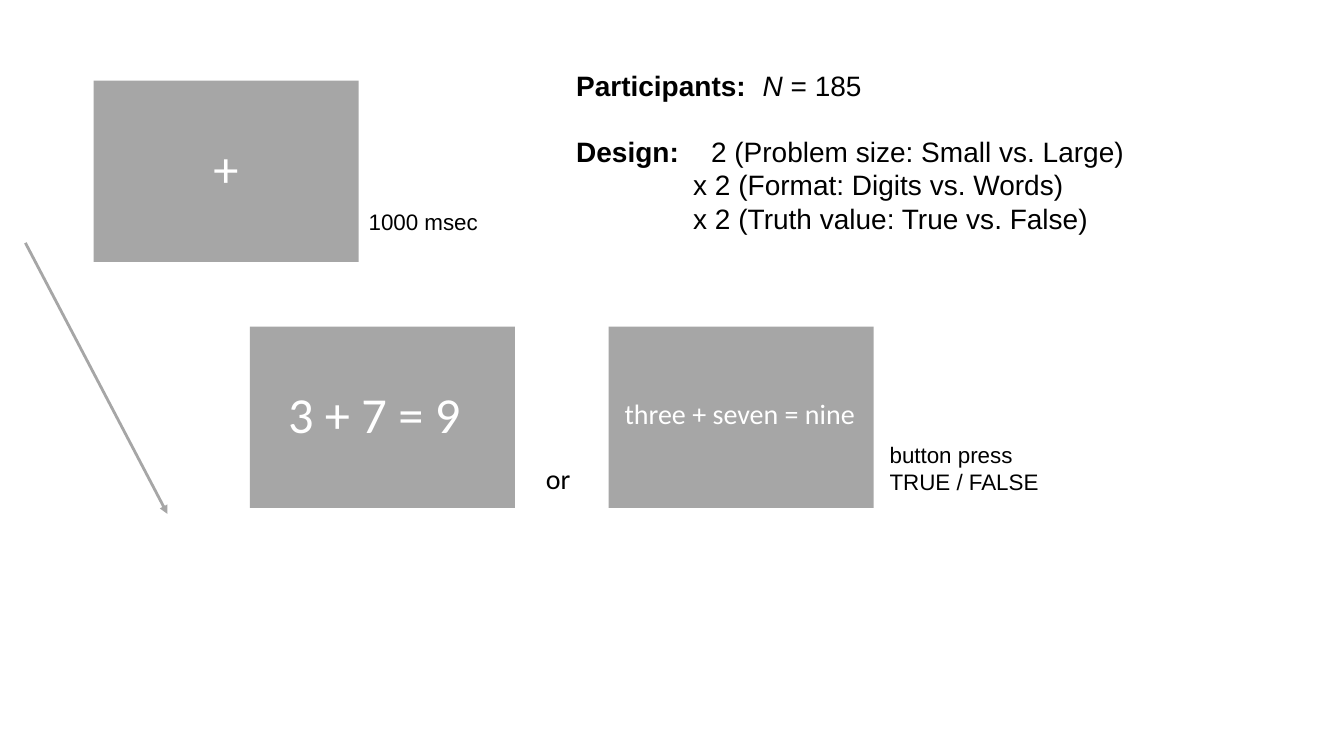
from lxml import etree
from pptx import Presentation
from pptx import util as u
from pptx.dml.color import RGBColor
from pptx.enum import shapes, text
from pptx.oxml import ns

COLORS = {"screen": "A6A6A6", "stimulus": "FFFFFF", "label": "000000"}


def write(paragraph, wording, size=20, font="Arial", color="label", bold=False, italic=False):
    run = paragraph.add_run()
    run.text = wording
    run.font.size = u.Pt(size)
    run.font.name = font
    run.font.bold = bold
    run.font.italic = italic
    run.font.color.rgb = RGBColor.from_string(COLORS[color])


def add_frame(left, top, width, height):
    frame = slide.shapes.add_textbox(u.Cm(left), u.Cm(top), u.Cm(width), u.Cm(height)).text_frame
    frame.word_wrap = True
    frame.auto_size = text.MSO_AUTO_SIZE.SHAPE_TO_FIT_TEXT
    return frame


prs = Presentation()
prs.slide_width, prs.slide_height = u.Cm(33.87), u.Cm(19.05)
slide = prs.slides.add_slide(prs.slide_layouts[6])

# Trial screens, each with its stimulus: screen corner, then text box and size
trial_screens = [
    (2.36, 2.03, "+", (5.13, 3.33, 1.14, 1.8), 36),
    (6.3, 8.23, "3 + 7 = 9", (7.01, 9.53, 5.23, 1.8), 36),
    (15.34, 8.23, "three + seven = nine", (15.49, 9.86, 8.08, 1.12), 20),
]
for left, top, stimulus, place, size in trial_screens:
    screen = slide.shapes.add_shape(
        shapes.MSO_SHAPE.RECTANGLE, u.Cm(left), u.Cm(top), u.Cm(6.68), u.Cm(4.57))
    screen.shadow.inherit = False
    screen.fill.solid()
    screen.fill.fore_color.rgb = RGBColor.from_string(COLORS["screen"])
    screen.line.fill.background()
    write(add_frame(*place).paragraphs[0], stimulus, size=size, font="Calibri", color="stimulus")

# Timing, response and alternative labels
labels = [
    (["1000 msec"], (9.04, 5.13, 3.96, 0.94), 16, "Arial"),
    (["button press", "TRUE / FALSE"], (22.17, 11, 5.56, 1.63), 16, "Arial"),
    (["or"], (13.51, 11.51, 3.96, 1.12), 20, "Calibri"),
]
for lines, place, size, font in labels:
    label = add_frame(*place)
    for number, line in enumerate(lines):
        paragraph = label.add_paragraph() if number else label.paragraphs[0]
        write(paragraph, line, size=size, font=font)

# Time arrow
time_arrow = slide.shapes.add_connector(
    shapes.MSO_CONNECTOR.STRAIGHT, u.Cm(0.64), u.Cm(6.12), u.Cm(4.22), u.Cm(12.95))
time_arrow.line.color.rgb = RGBColor.from_string(COLORS["screen"])
time_arrow.line.width = u.Pt(2)
etree.SubElement(time_arrow.line._get_or_add_ln(), ns.qn("a:tailEnd"), type="triangle")
etree.SubElement(time_arrow._element.spPr, ns.qn("a:effectLst"))

# Participants and design: headings reach their values by a tab stop
study = add_frame(14.27, 1.6, 14.66, 4.52)
participants, design = study.paragraphs[0], study.add_paragraph()
design.space_before = u.Pt(23)
for paragraph, heading, stop, values in [
    (participants, "Participants:", 4.7, [("N", True), (" = 185", False)]),
    (design, "Design:", 3.4, [("2 (Problem size: Small vs. Large)", False)]),
]:
    tabs = etree.SubElement(paragraph._p.get_or_add_pPr(), ns.qn("a:tabLst"))
    etree.SubElement(tabs, ns.qn("a:tab"), pos=str(u.Cm(stop)), algn="l")
    write(paragraph, heading + "\t", bold=True)
    for value, italic in values:
        write(paragraph, value, italic=italic)

# Further design factors, indented under the first
for factor in ["x 2 (Format: Digits vs. Words)", "x 2 (Truth value: True vs. False)"]:
    paragraph = study.add_paragraph()
    indent = paragraph._p.get_or_add_pPr()
    indent.set("marL", str(u.Cm(2.95)))
    indent.set("indent", "0")
    write(paragraph, factor)

prs.save("out.pptx")
